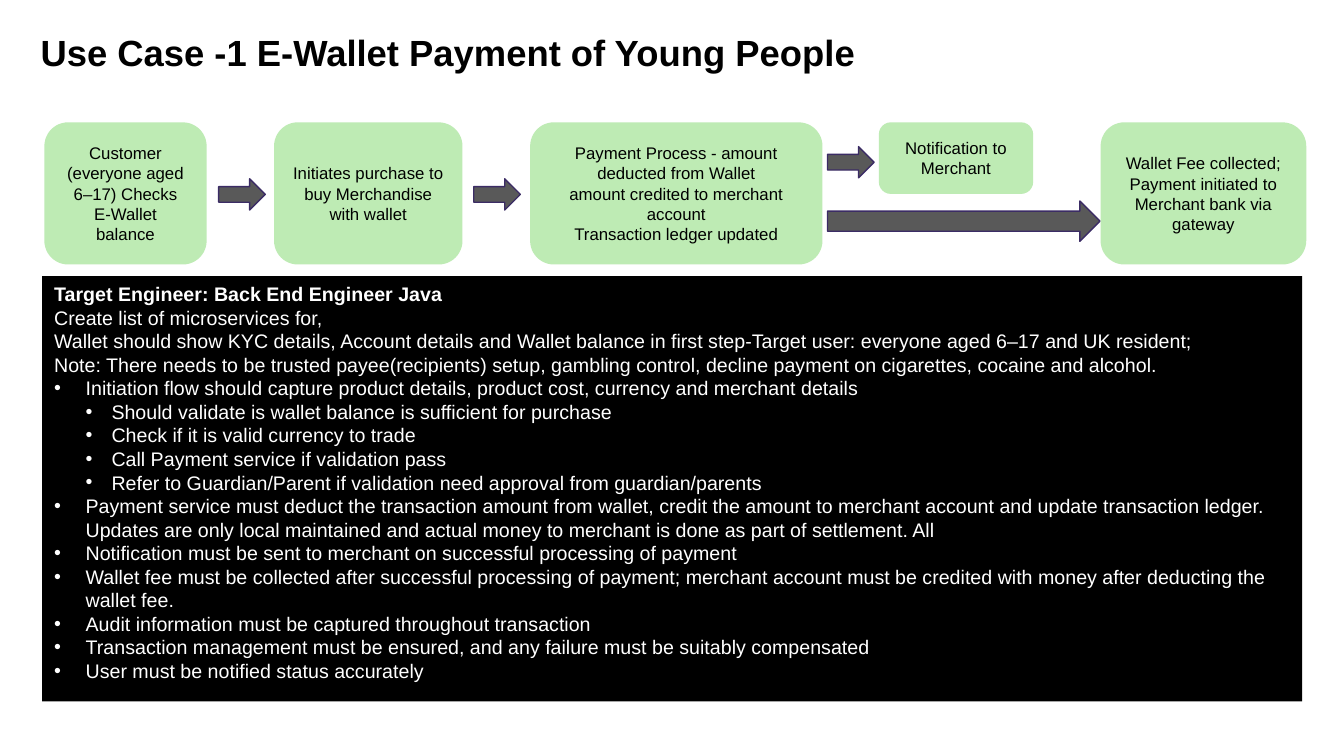
import pptx
import pptx.dml.color
import pptx.enum.shapes
import pptx.enum.text
import pptx.oxml
import pptx.oxml.ns
import pptx.util

Pt = pptx.util.Pt
SHAPES = pptx.enum.shapes.MSO_SHAPE
ALIGN = pptx.enum.text.PP_ALIGN
ANCHOR = pptx.enum.text.MSO_ANCHOR

TITLE = "Use Case -1 E-Wallet Payment of Young People"
FULL_HEIGHT = 101.5
STEPS = [
    (0, 115.9, FULL_HEIGHT, "Customer (everyone aged 6–17) Checks E-Wallet balance"),
    (164.1, 134.6, FULL_HEIGHT, "Initiates purchase to buy Merchandise with wallet"),
    (347, 208.8, FULL_HEIGHT, "Payment Process - amount deducted from Wallet\n"
     "amount credited to merchant account\nTransaction ledger updated"),
    (596.1, 110.2, 51.1, "Notification to Merchant"),
    (754.5, 146.9, FULL_HEIGHT, "Wallet Fee collected; Payment initiated to Merchant bank via gateway"),
]
ARROWS = [
    (124.5, 40.3, 33.3, 22.3),
    (306.7, 40.3, 33.3, 22.3),
    (559.4, 17.3, 33.3, 22.3),
    (559.4, 56.2, 194.6, 28.8),
]
INDENTS = {1: (22.5, -22.5), 2: (41, -18.5)}
BRIEF = [
    (0, "Target Engineer: Back End Engineer Java"),
    (0, "Create list of microservices for,"),
    (0, "Wallet should show KYC details, Account details and Wallet balance in first step-"
        "Target user: everyone aged 6–17 and UK resident;"),
    (0, "Note: There needs to be trusted payee(recipients) setup, gambling control, "
        "decline payment on cigarettes, cocaine and alcohol."),
    (1, "Initiation flow should capture product details, product cost, currency and merchant details"),
    (2, "Should validate is wallet balance is sufficient for purchase"),
    (2, "Check if it is valid currency to trade"),
    (2, "Call Payment service if validation pass"),
    (2, "Refer to Guardian/Parent if validation need approval from guardian/parents"),
    (1, "Payment service must deduct the transaction amount from wallet, credit the amount to "
        "merchant account and update transaction ledger. Updates are only local maintained and "
        "actual money to merchant is done as part of settlement. All"),
    (1, "Notification must be sent to merchant on successful processing of payment"),
    (1, "Wallet fee must be collected after successful processing of payment; merchant account "
        "must be credited with money after deducting the wallet fee."),
    (1, "Audit information must be captured throughout transaction"),
    (1, "Transaction management must be ensured, and any failure must be suitably compensated"),
    (1, "User must be notified status accurately"),
]


def color(value):
    """Turn a hex string into a colour."""
    return pptx.dml.color.RGBColor.from_string(value)


def add_block(page, kind, box, fill, line=None):
    """Add a flat filled shape, outlined only when a line colour is given."""
    shape = page.shapes.add_shape(kind, *[Pt(length) for length in box])
    shape.shadow.inherit = False
    shape.fill.solid()
    shape.fill.fore_color.rgb = color(fill)
    if line:
        shape.line.color.rgb = color(line)
        shape.line.width = Pt(1)
    else:
        shape.line.fill.background()
    return shape


def write_text(shape, text, size, ink, align, anchor, insets):
    """Fill a shape with wrapped Arial paragraphs."""
    frame = shape.text_frame
    frame.word_wrap = True
    frame.vertical_anchor = anchor
    frame.margin_left = frame.margin_right = Pt(insets[0])
    frame.margin_top = frame.margin_bottom = Pt(insets[1])
    frame.text = text
    for paragraph in frame.paragraphs:
        paragraph.alignment = align
        for span in paragraph.runs:
            span.font.name = "Arial"
            span.font.size = Pt(size)
            span.font.color.rgb = color(ink)
    return frame


def add_bullet(paragraph, level):
    """Give a paragraph a white bullet with the hanging indent of its level."""
    left, hanging = INDENTS[level]
    paragraph.level = level - 1
    properties = paragraph._p.get_or_add_pPr()
    properties.set("marL", str(Pt(left)))
    properties.set("indent", str(Pt(hanging)))
    namespace = pptx.oxml.ns.nsdecls("a")
    for markup in (
        f'<a:buClr {namespace}><a:srgbClr val="FFFFFF"/></a:buClr>',
        f'<a:buFont {namespace} typeface="Arial"/>',
        f'<a:buChar {namespace} char="•"/>',
    ):
        properties.append(pptx.oxml.parse_xml(markup))


def add_title(page, box):
    """Place the bold slide title."""
    shape = page.shapes.add_textbox(*[Pt(length) for length in box])
    frame = write_text(shape, TITLE, 26, "000000", ALIGN.LEFT, ANCHOR.TOP, (3.6, 3.6))
    frame.paragraphs[0].runs[0].font.bold = True


def add_flow(page, left, top):
    """Place the payment steps and the arrows between them."""
    for offset, width, height, text in STEPS:
        step = add_block(page, SHAPES.ROUNDED_RECTANGLE, (left + offset, top, width, height), "BEEBB4")
        write_text(step, text, 12, "000000", ALIGN.CENTER, ANCHOR.MIDDLE, (8.5, 4.25))
    for across, down, width, height in ARROWS:
        add_block(page, SHAPES.RIGHT_ARROW, (left + across, top + down, width, height), "595959", "3B2C65")


def add_brief(page, box):
    """Place the black panel with the engineer's requirements."""
    panel = add_block(page, SHAPES.RECTANGLE, box, "000000")
    text = "\n".join(line for level, line in BRIEF)
    frame = write_text(panel, text, 14, "FFFFFF", ALIGN.LEFT, ANCHOR.TOP, (8.5, 4.25))
    frame.paragraphs[0].runs[0].font.bold = True
    for paragraph, (level, line) in zip(frame.paragraphs, BRIEF):
        if level:
            add_bullet(paragraph, level)


def main():
    """Build the slide and save the deck."""
    deck = pptx.Presentation()
    deck.slide_width, deck.slide_height = Pt(960), Pt(540)
    page = deck.slides.add_slide(deck.slide_layouts[6])
    add_title(page, (25.4, 18, 782, 39))
    add_flow(page, 31.7, 87.4)
    add_brief(page, (30.2, 197.3, 900, 303.8))
    deck.save("out.pptx")


if __name__ == "__main__":
    main()
